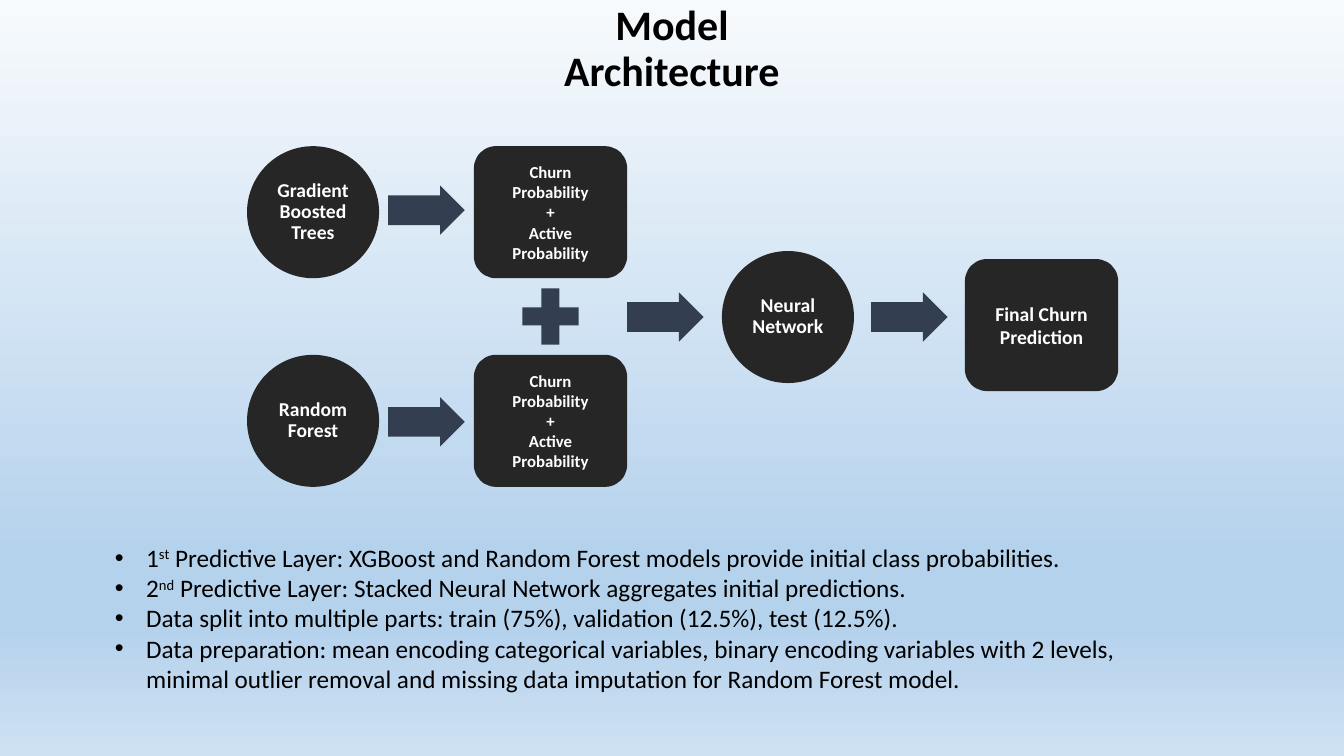
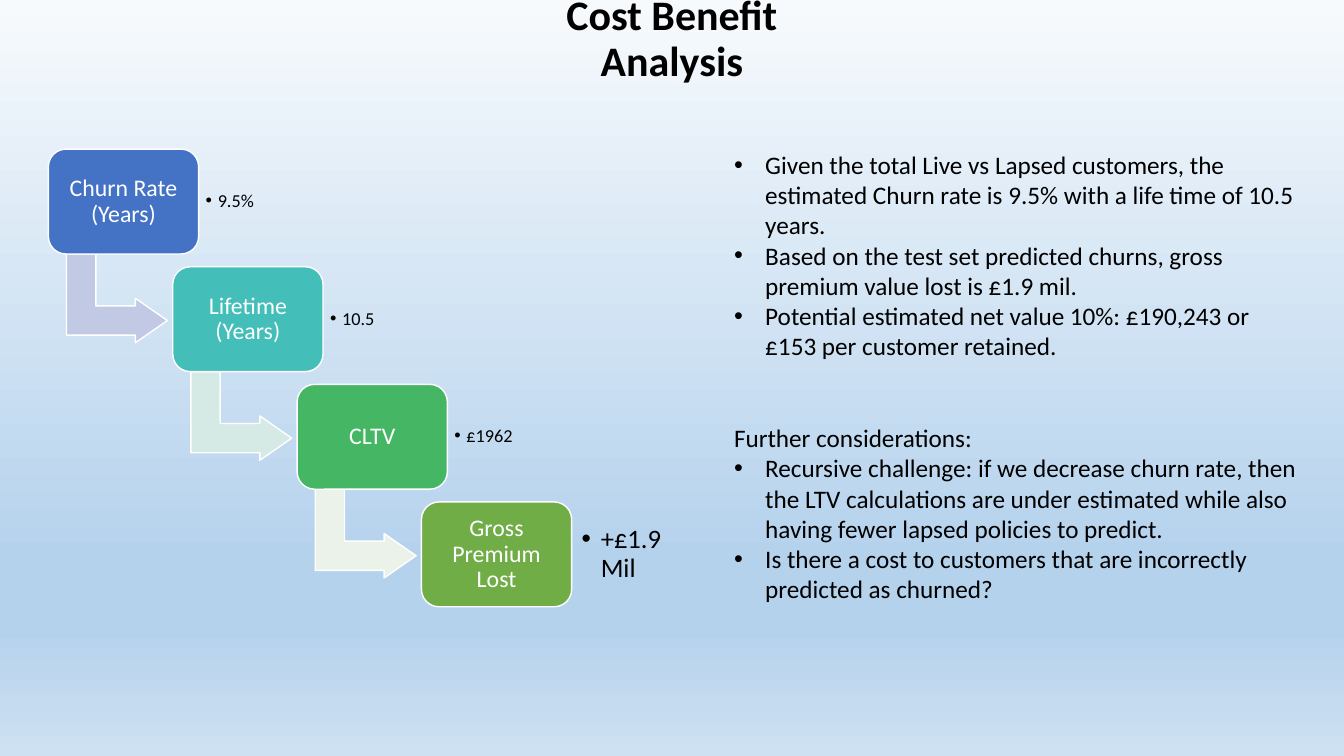
from copy import deepcopy
from dataclasses import dataclass
from typing import Optional

from pptx import Presentation
from pptx.dml.color import RGBColor
from pptx.enum.shapes import MSO_SHAPE
from pptx.enum.text import MSO_ANCHOR, MSO_AUTO_SIZE, PP_ALIGN
from pptx.oxml.ns import qn
from pptx.oxml.xmlchemy import OxmlElement
from pptx.util import Inches, Pt

FONT = "Calibri"
BLACK, WHITE = "000000", "FFFFFF"
CHARCOAL, SLATE = "262626", "333F50"
BACKGROUND = [(0, "F7FAFD"), (0.74, "B5D2EC"), (0.83, "B5D2EC"), (1, "CEE1F2")]

CENTERED = {"alignment": PP_ALIGN.CENTER, "space_before": Pt(0), "line_spacing": 1.0}
CENTERED_TIGHT = {**CENTERED, "line_spacing": 0.9}
LISTED = {**CENTERED, "alignment": PP_ALIGN.LEFT}
LISTED_TIGHT = {**LISTED, "line_spacing": 0.9}

TOP_ROW, BOTTOM_ROW = 1.45, 3.52
NODE_HEIGHT, OUTCOME_WIDTH = 1.31, 1.52
PROBABILITIES = "Churn Probability\n+\nActive Probability"


@dataclass
class Box:
    left: float
    top: float
    width: float
    height: float

    def lengths(self) -> list:
        return [Inches(v) for v in (self.left, self.top, self.width, self.height)]


@dataclass
class Node:
    """A circle for a model, or a rounded box for an outcome."""
    text: str
    left: float
    top: float
    is_model: bool
    size: int = 14


@dataclass
class Step:
    label: str
    value: str
    fill: str
    arrow_fill: Optional[str]
    value_size: int = 13
    indent: float = 0.12
    margin: float = 0.07


NODES = [
    Node("Gradient Boosted Trees", 2.45, TOP_ROW, True),
    Node("Random Forest", 2.45, BOTTOM_ROW, True),
    Node("Neural Network", 7.16, 2.49, True),
    Node(PROBABILITIES, 4.7, TOP_ROW, False, 12),
    Node(PROBABILITIES, 4.7, BOTTOM_ROW, False, 12),
    Node("Final Churn Prediction", 9.57, 2.57, False),
]
FLOW_ARROWS = [(3.85, 1.84), (3.85, 3.94), (6.22, 2.9), (8.64, 2.9)]

STEPS = [
    Step("Churn Rate (Years)", "9.5%", "4472C4", "C1C9E4"),
    Step("Lifetime (Years)", "10.5", "43BEB9", "D6EAE5"),
    Step("CLTV", "£1962", "45B664", "EBF2E9"),
    Step("Gross Premium Lost", "+£1.9 Mil", "70AD47", None, 19, 0.19, 0.1),
]

# Text between carets is raised.
ARCHITECTURE_NOTES = [
    "1^st^ Predictive Layer: XGBoost and Random Forest models provide initial class probabilities.",
    "2^nd^ Predictive Layer: Stacked Neural Network aggregates initial predictions.",
    "Data split into multiple parts: train (75%), validation (12.5%), test (12.5%).",
    "Data preparation: mean encoding categorical variables, binary encoding variables with "
    "2 levels, minimal outlier removal and missing data imputation for Random Forest model.",
]
FURTHER = "Further considerations:"
COST_NOTES = [
    "Given the total Live vs Lapsed customers, the estimated Churn rate is 9.5% with a life "
    "time of 10.5 years.",
    "Based on the test set predicted churns, gross premium value lost is £1.9 mil.",
    "Potential estimated net value 10%: £190,243 or £153 per customer retained.",
    FURTHER,
    "Recursive challenge: if we decrease churn rate, then the LTV calculations are under "
    "estimated while also having fewer lapsed policies to predict.",
    "Is there a cost to customers that are incorrectly predicted as churned?",
]


def rgb(code: str) -> RGBColor:
    return RGBColor.from_string(code)


def apply(target, values: dict) -> None:
    for name, value in values.items():
        setattr(target, name, value)


def set_frame(frame, anchor, side: float = 0.1, edge: float = 0.05) -> None:
    apply(frame, {
        "word_wrap": True, "auto_size": MSO_AUTO_SIZE.NONE, "vertical_anchor": anchor,
        "margin_left": Inches(side), "margin_right": Inches(side),
        "margin_top": Inches(edge), "margin_bottom": Inches(edge),
    })


def write(frame, lines: list, size: int, color: str, layout: dict, bold: bool = False) -> None:
    """Fill the frame with one paragraph a line; text between carets is raised."""
    for number, line in enumerate(lines):
        paragraph = frame.add_paragraph() if number else frame.paragraphs[0]
        apply(paragraph, layout)
        for part, text in enumerate(line.split("^")):
            run = paragraph.add_run()
            run.text = text
            apply(run.font, {"name": FONT, "size": Pt(size), "bold": bold})
            run.font.color.rgb = rgb(color)
            if part % 2:
                run.font._element.set("baseline", "30000")


def set_bullet(paragraph, indent: float) -> None:
    """Hang the paragraph on a bullet; no indent means no bullet."""
    properties = paragraph._p.get_or_add_pPr()
    properties.set("marL", str(Inches(indent)))
    properties.set("indent", str(-Inches(indent)))
    if indent:
        typeface = OxmlElement("a:buFont")
        typeface.set("typeface", "Arial")
        properties.append(typeface)
    mark = OxmlElement("a:buChar" if indent else "a:buNone")
    if indent:
        mark.set("char", "•")
    properties.append(mark)


def add_figure(slide, preset, box: Box, fill: str, outline: Optional[str] = None,
               adjustments: tuple = ()):
    figure = slide.shapes.add_shape(preset, *box.lengths())
    figure.shadow.inherit = False
    figure.fill.solid()
    figure.fill.fore_color.rgb = rgb(fill)
    if outline:
        figure.line.color.rgb = rgb(outline)
        figure.line.width = Pt(1)
    else:
        figure.line.fill.background()
    for number, value in enumerate(adjustments):
        figure.adjustments[number] = value
    return figure


def set_background(master) -> None:
    fill = master.background.fill
    fill.gradient()
    fill.gradient_angle = 270
    stop_list = master.element.find(".//" + qn("a:gsLst"))
    while len(stop_list) < len(BACKGROUND):
        stop_list.append(deepcopy(stop_list[0]))
    for stop, (position, color) in zip(fill.gradient_stops, BACKGROUND):
        stop.position = position
        stop.color.rgb = rgb(color)


def add_slide(deck, title: str, title_box: Box, notes: list, notes_box: Box):
    slide = deck.slides.add_slide(deck.slide_layouts[1])
    heading, body = slide.shapes.title, slide.placeholders[1]
    for holder, box in ((heading, title_box), (body, notes_box)):
        apply(holder, dict(zip(("left", "top", "width", "height"), box.lengths())))
    set_frame(heading.text_frame, MSO_ANCHOR.MIDDLE)
    write(heading.text_frame, [title], 30, BLACK, CENTERED_TIGHT, bold=True)
    set_frame(body.text_frame, MSO_ANCHOR.TOP)
    write(body.text_frame, notes, 18, BLACK, LISTED)
    for paragraph in body.text_frame.paragraphs:
        is_heading = paragraph.text == FURTHER
        set_bullet(paragraph, 0 if is_heading else 0.31)
        if is_heading:
            paragraph.space_before = Pt(44)
    return slide


def draw_node(slide, node: Node) -> None:
    preset = MSO_SHAPE.OVAL if node.is_model else MSO_SHAPE.ROUNDED_RECTANGLE
    width = NODE_HEIGHT if node.is_model else OUTCOME_WIDTH
    figure = add_figure(slide, preset, Box(node.left, node.top, width, NODE_HEIGHT), CHARCOAL)
    set_frame(figure.text_frame, MSO_ANCHOR.MIDDLE, 0.02 if node.is_model else 0.22, 0.02)
    write(figure.text_frame, node.text.split("\n"), node.size, WHITE,
          CENTERED_TIGHT if node.is_model else CENTERED, bold=True)


def draw_step(slide, step: Step, left: float, top: float) -> None:
    if step.arrow_fill:
        arrow = add_figure(slide, MSO_SHAPE.BENT_UP_ARROW, Box(left + 0.24, top + 0.98, 0.88, 1),
                           step.arrow_fill, WHITE, (0.33, 0.25, 0.36))
        arrow.rotation = 90
    card = add_figure(slide, MSO_SHAPE.ROUNDED_RECTANGLE, Box(left, top, 1.49, 1.04),
                      step.fill, WHITE)
    set_frame(card.text_frame, MSO_ANCHOR.MIDDLE, 0.07, 0.07)
    write(card.text_frame, [step.label], 17, WHITE, CENTERED_TIGHT)
    value = slide.shapes.add_textbox(*Box(left + 1.49, top + 0.1, 1.08, 0.84).lengths())
    set_frame(value.text_frame, MSO_ANCHOR.MIDDLE, step.margin, step.margin)
    write(value.text_frame, [step.value], step.value_size, BLACK, LISTED_TIGHT)
    set_bullet(value.text_frame.paragraphs[0], step.indent)


def build_architecture(deck) -> None:
    slide = add_slide(deck, "Model Architecture", Box(4.95, 0, 3.43, 0.99),
                      ARCHITECTURE_NOTES, Box(1.04, 5.33, 10.48, 1.62))
    for node in NODES:
        draw_node(slide, node)
    add_figure(slide, MSO_SHAPE.MATH_PLUS, Box(5.08, 2.76, 0.76, 0.76), SLATE)
    for left, top in FLOW_ARROWS:
        add_figure(slide, MSO_SHAPE.RIGHT_ARROW, Box(left, top, 0.76, 0.49), SLATE,
                   adjustments=(0.6, 0.5))


def build_cost_benefit(deck) -> None:
    slide = add_slide(deck, "Cost Benefit Analysis", Box(4.8, 0, 3.73, 0.79),
                      COST_NOTES, Box(7.18, 1.43, 5.8, 4.64))
    last = len(STEPS) - 1
    for number, step in enumerate(STEPS):
        draw_step(slide, step, 0.48 + 3.7 * number / last, 1.48 + 3.5 * number / last)


def main() -> None:
    deck = Presentation()
    deck.slide_width, deck.slide_height = Inches(13.33), Inches(7.5)
    set_background(deck.slide_master)
    build_architecture(deck)
    build_cost_benefit(deck)
    deck.save("out.pptx")


if __name__ == "__main__":
    main()
